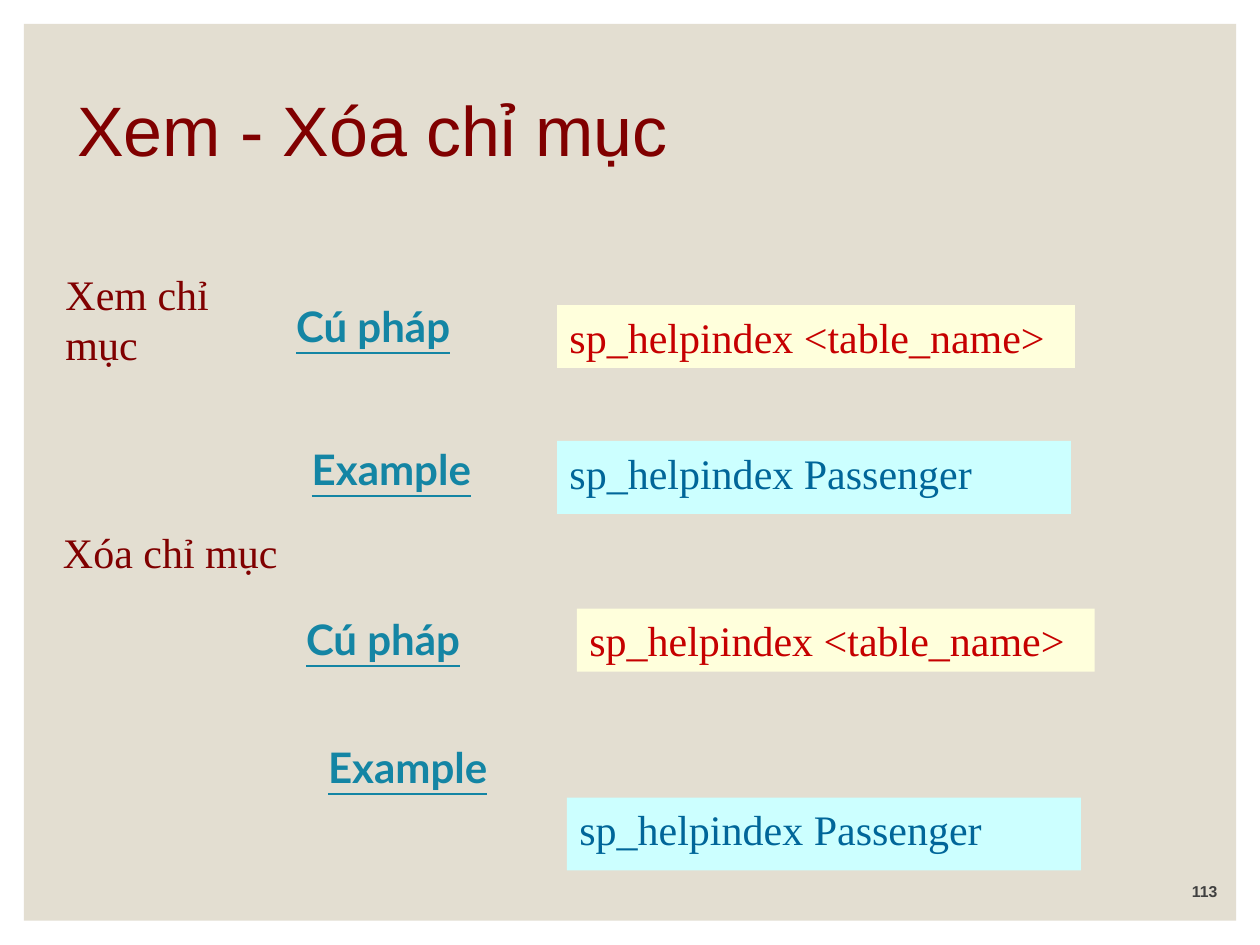
from pptx import Presentation
from pptx.dml.color import RGBColor
from pptx.enum.shapes import MSO_SHAPE
from pptx.enum.text import MSO_ANCHOR, PP_ALIGN
from pptx.util import Cm, Pt

RECTANGLE = MSO_SHAPE.RECTANGLE
TOP, MIDDLE, BOTTOM = MSO_ANCHOR.TOP, MSO_ANCHOR.MIDDLE, MSO_ANCHOR.BOTTOM
LEFT, CENTER, RIGHT, JUSTIFY = (
    PP_ALIGN.LEFT, PP_ALIGN.CENTER, PP_ALIGN.RIGHT, PP_ALIGN.JUSTIFY)

SANS, SERIF, LABEL = "Arial", "Times New Roman", "Lato"
MAROON, TEAL, RED, BLUE, GRAY = "800000", "1485A4", "C60000", "006699", "404040"
SAND, CREAM, CYAN = "E3DED1", "FFFFDC", "CCFFFF"


def color(value):
    return RGBColor.from_string(value)


class IndexSlide:
    """Holds the text style and the slide being built."""

    size = 24
    row_height = 1.27

    def __init__(self, presentation):
        self.slide = presentation.slides.add_slide(presentation.slide_layouts[5])

    def add_text(self, shape, text, font, hue, size=None, align=LEFT, anchor=TOP,
                 bold=False, underline=False, wrap=True):
        frame = shape.text_frame
        frame.word_wrap = wrap
        frame.vertical_anchor = anchor
        paragraph = frame.paragraphs[0]
        paragraph.alignment = align
        run = paragraph.add_run()
        run.text = text
        run.font.name = font
        run.font.size = Pt(size or self.size)
        run.font.color.rgb = color(hue)
        run.font.bold = bold
        run.font.underline = underline
        return paragraph

    def panel(self, left, top, width, height, fill):
        shape = self.slide.shapes.add_shape(
            RECTANGLE, Cm(left), Cm(top), Cm(width), Cm(height))
        shape.shadow.inherit = False
        shape.fill.solid()
        shape.fill.fore_color.rgb = color(fill)
        shape.line.fill.background()
        return shape

    def title(self, text):
        shape = self.slide.shapes.title
        shape.left, shape.top = Cm(1.3), Cm(1.63)
        shape.width, shape.height = Cm(21.64), Cm(2.13)
        paragraph = self.add_text(shape, text, SANS, MAROON, size=40, anchor=MIDDLE)
        paragraph.line_spacing = 0.9

    def text_box(self, left, top, width, height, text, font, hue, **style):
        shape = self.slide.shapes.add_textbox(
            Cm(left), Cm(top), Cm(width), Cm(height))
        self.add_text(shape, text, font, hue, **style)

    def heading(self, left, top, width, text):
        self.text_box(left, top, width, self.row_height, text, SERIF, MAROON,
                      wrap=False)

    def label(self, left, top, width, text, **style):
        self.text_box(left, top, width, self.row_height, text, LABEL, TEAL,
                      anchor=BOTTOM, bold=True, underline=True, **style)

    def syntax(self, label_at, code_at):
        self.label(*label_at, 6.99, "Cú pháp")
        shape = self.panel(*code_at, 10.44, self.row_height, CREAM)
        self.add_text(shape, "sp_helpindex <table_name>", SERIF, RED, align=JUSTIFY)

    def example(self, label_at, code_at):
        self.label(*label_at, 4.14, "Example", align=CENTER, wrap=False)
        shape = self.panel(*code_at, 10.36, 1.47, CYAN)
        self.add_text(shape, "sp_helpindex Passenger", SERIF, BLUE, align=JUSTIFY)


def main():
    presentation = Presentation()
    presentation.slide_width, presentation.slide_height = Cm(25.4), Cm(19.05)
    page = IndexSlide(presentation)

    # Backdrop, placed behind the title
    backdrop = page.panel(0.48, 0.48, 24.44, 18.08, SAND)
    page.slide.shapes.title.element.addprevious(backdrop.element)

    # Title and page number
    page.title("Xem - Xóa chỉ mục")
    page.text_box(21.74, 17.53, 3.05, 0.76, "113", SANS, GRAY,
                  size=9, align=RIGHT, anchor=BOTTOM, bold=True)

    # Viewing an index
    page.heading(1.07, 5.28, 5.05, "Xem chỉ mục")
    page.syntax((5.72, 5.92), (11.23, 6.15))
    page.example((5.82, 8.81), (11.23, 8.89))

    # Dropping an index
    page.heading(1.02, 10.49, 4.83, "Xóa chỉ mục")
    page.syntax((5.92, 12.24), (11.63, 12.27))
    page.example((6.15, 14.81), (11.43, 16.08))

    presentation.save("out.pptx")


if __name__ == "__main__":
    main()
